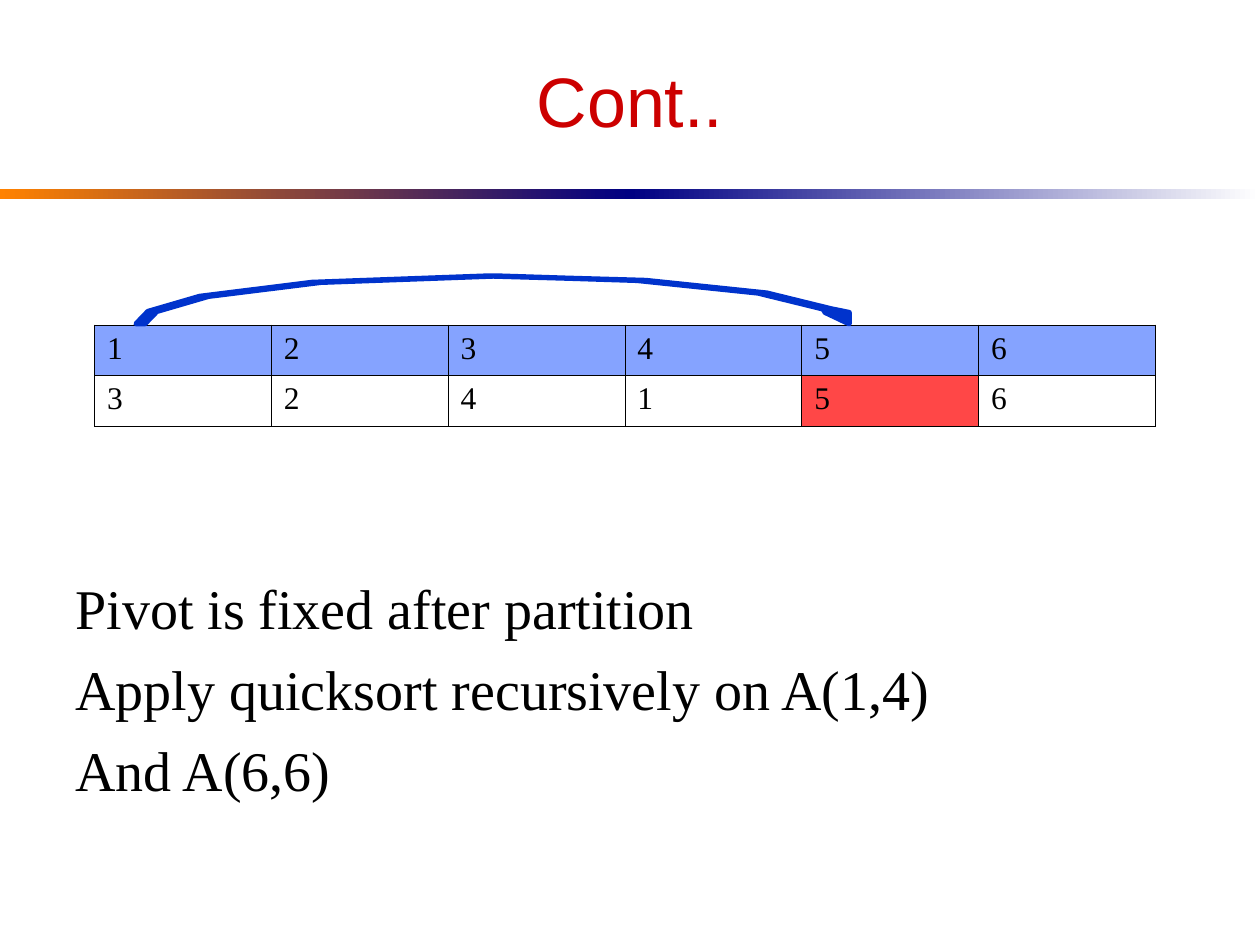
from math import cos, radians, sin

from lxml.etree import SubElement
from pptx import Presentation
from pptx.dml.color import RGBColor
from pptx.enum.shapes import MSO_SHAPE as Shape
from pptx.enum.text import MSO_ANCHOR as Anchor, PP_ALIGN as Align
from pptx.oxml.ns import qn
from pptx.util import Inches, Pt

COLORS = {
    "title": "CC0000", "text": "000000", "orange": "FF8200", "navy": "000082",
    "white": "FFFFFF", "header": "85A3FF", "pivot": "FF4747", "arrow": "0033CC",
}
ROWS = [["1", "2", "3", "4", "5", "6"], ["3", "2", "4", "1", "5", "6"]]
PIVOT_CELL = (1, 4)
NOTES = ["Pivot is fixed after partition",
         "Apply quicksort recursively on A(1,4)",
         "And A(6,6)"]


def color(name):
    return RGBColor.from_string(COLORS[name])


def set_font(paragraph, name, size, color_name):
    paragraph.font.name = name
    paragraph.font.size = Pt(size)
    paragraph.font.color.rgb = color(color_name)


def add_title(slide, text, left, top, width, height):
    title = slide.shapes.title
    title.left, title.top = Inches(left), Inches(top)
    title.width, title.height = Inches(width), Inches(height)
    title.text_frame.text = text
    title.text_frame.vertical_anchor = Anchor.MIDDLE
    paragraph = title.text_frame.paragraphs[0]
    paragraph.alignment = Align.CENTER
    set_font(paragraph, "Arial", 40, "title")


def add_divider(slide, left, top, width, height):
    half = width / 2
    for index, ends in enumerate([("orange", "navy"), ("navy", "white")]):
        bar = slide.shapes.add_shape(
            Shape.RECTANGLE, Inches(left + index * half), Inches(top),
            Inches(half), Inches(height))
        bar.shadow.inherit = False
        bar.line.fill.background()
        bar.fill.gradient()
        bar.fill.gradient_angle = 0
        for stop, name in zip(bar.fill.gradient_stops, ends):
            stop.color.rgb = color(name)


def add_borders(cell):
    properties = cell._tc.get_or_add_tcPr()
    for index, side in enumerate(("a:lnL", "a:lnR", "a:lnT", "a:lnB")):
        line = properties.makeelement(qn(side), {"w": str(Pt(0.45))})
        fill = SubElement(line, qn("a:solidFill"))
        SubElement(fill, qn("a:srgbClr"), val=COLORS["text"])
        properties.insert(index, line)


def add_array_table(slide, left, top, width, height):
    table = slide.shapes.add_table(
        len(ROWS), len(ROWS[0]), Inches(left), Inches(top),
        Inches(width), Inches(height)).table
    for row_index, values in enumerate(ROWS):
        for column_index, value in enumerate(values):
            cell = table.cell(row_index, column_index)
            cell.text = value
            paragraph = cell.text_frame.paragraphs[0]
            set_font(paragraph, "Times New Roman", 18, "text")
            paragraph.font.bold = False
            name = "header" if row_index == 0 else "white"
            if (row_index, column_index) == PIVOT_CELL:
                name = "pivot"
            cell.fill.solid()
            cell.fill.fore_color.rgb = color(name)
            add_borders(cell)


def add_swap_arrow(slide, left, top, width, height):
    """Two offset half ellipses make the band, ending in a small head."""
    band, head = 0.07, 0.09
    radius = (width - band) / 2
    near, far = left + radius, left + radius + band
    right, bottom = left + width, top + height

    def arc(center, angles):
        return [(center + radius * cos(radians(angle)),
                 bottom - height * sin(radians(angle))) for angle in angles]

    rising, falling = (180, 165, 145, 120, 90), (65, 40, 18)
    points = (arc(near, rising) + arc(far, falling)
              + [(right, bottom - head), (right, bottom),
                 (right - 0.19, bottom - head)]
              + arc(near, falling[::-1]) + arc(far, rising[::-1]))
    points = [(Inches(x), Inches(y)) for x, y in points]
    builder = slide.shapes.build_freeform(*points[0])
    builder.add_line_segments(points[1:], close=True)
    arrow = builder.convert_to_shape()
    arrow.shadow.inherit = False
    arrow.fill.solid()
    arrow.fill.fore_color.rgb = color("arrow")
    arrow.line.color.rgb = color("arrow")
    arrow.line.width = Pt(3)


def add_notes_text(slide, left, top, width, height):
    frame = slide.shapes.add_textbox(
        Inches(left), Inches(top), Inches(width), Inches(height)).text_frame
    frame.word_wrap = True
    frame.vertical_anchor = Anchor.BOTTOM
    for index, text in enumerate(NOTES):
        paragraph = frame.add_paragraph() if index else frame.paragraphs[0]
        paragraph.text = text
        paragraph.space_before = Pt(8)
        set_font(paragraph, "Times New Roman", 32, "text")


presentation = Presentation()
presentation.slide_width, presentation.slide_height = Inches(10), Inches(7.5)
slide = presentation.slides.add_slide(presentation.slide_layouts[5])

add_divider(slide, 0, 1.5, 10, 0.08)
add_title(slide, "Cont..", 0.5, 0.25, 9, 1.08)
add_notes_text(slide, 0.5, 1.92, 9, 4.5)
add_array_table(slide, 0.75, 2.58, 8.42, 0.8)
add_swap_arrow(slide, 1.08, 2.19, 5.66, 0.38)

presentation.save("out.pptx")
